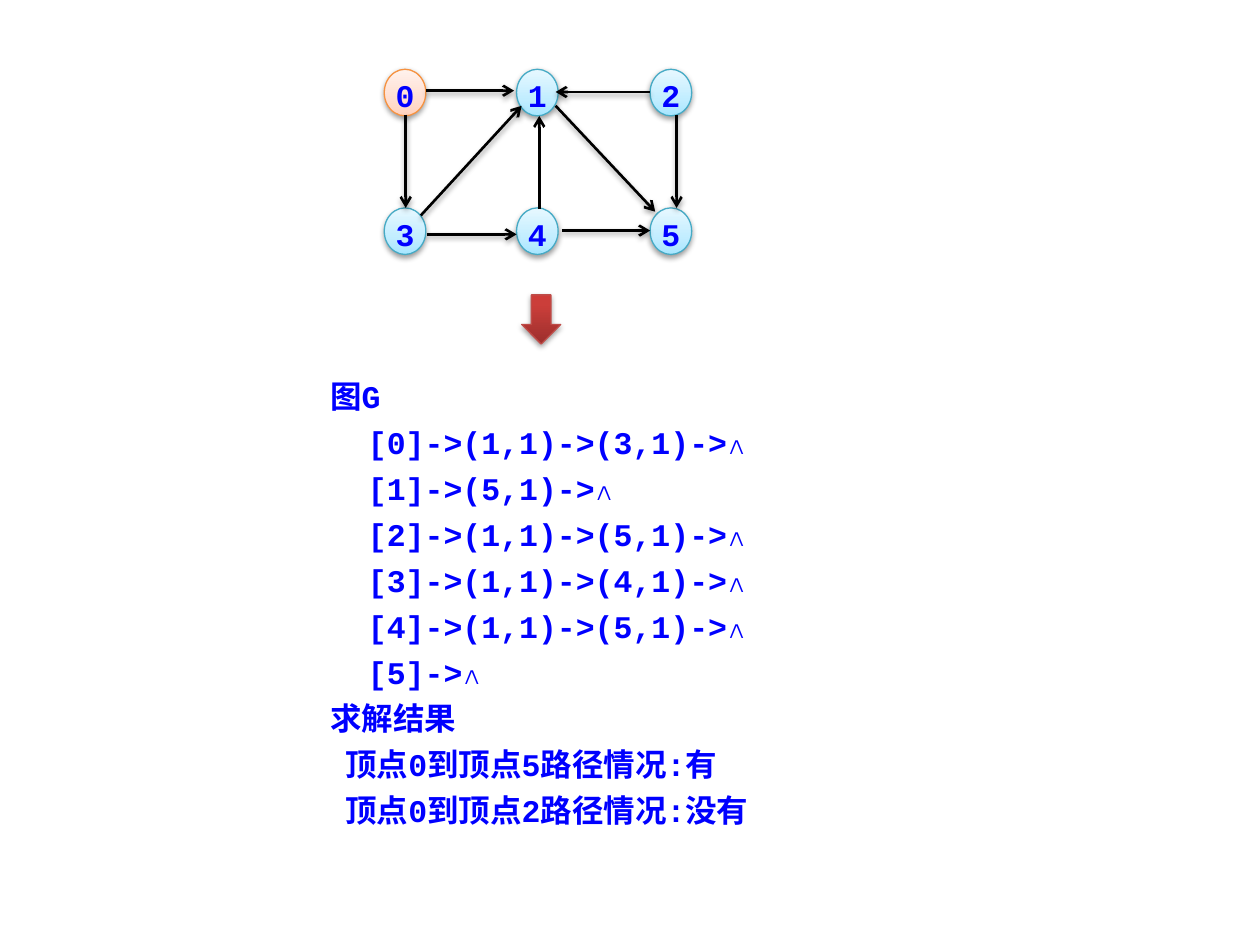
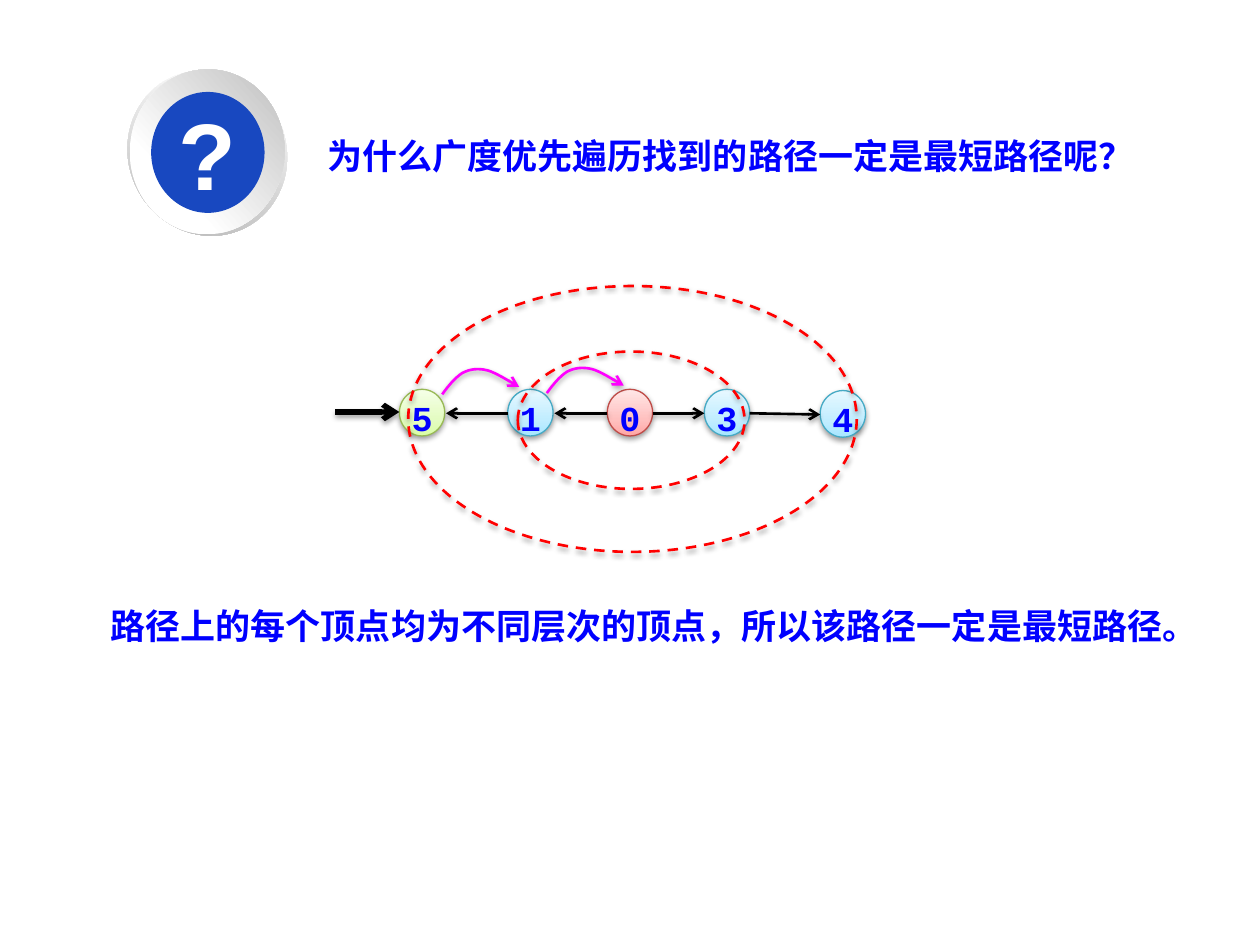
import lxml.etree
import pptx
import pptx.dml.color
import pptx.enum.dml
import pptx.enum.shapes
import pptx.enum.text
import pptx.oxml.ns
import pptx.util

RGBColor = pptx.dml.color.RGBColor
Pt = pptx.util.Pt
MSO_SHAPE = pptx.enum.shapes.MSO_SHAPE
PP_ALIGN = pptx.enum.text.PP_ALIGN
MSO_ANCHOR = pptx.enum.text.MSO_ANCHOR
qn = pptx.oxml.ns.qn

EMU_PER_PX = 9144
MONOSPACE = "Courier New"
SANS = "Arial"

BLACK = RGBColor(0x00, 0x00, 0x00)
WHITE = RGBColor(0xFF, 0xFF, 0xFF)
BLUE = RGBColor(0x00, 0x00, 0xFF)
BADGE_BLUE = RGBColor(0x18, 0x48, 0xC0)
RED = RGBColor(0xFF, 0x00, 0x00)
MAGENTA = RGBColor(0xFF, 0x00, 0xFF)
AQUA_LINE = RGBColor(0x46, 0xAA, 0xC5)
ORANGE_LINE = RGBColor(0xF6, 0x92, 0x40)
BRICK_LINE = RGBColor(0xBF, 0x4C, 0x48)
GREEN_LINE = RGBColor(0x98, 0xB9, 0x55)


def stops(*pairs):
    return [(position, RGBColor.from_string(value)) for position, value in pairs]


AQUA = stops((0, "A7E6FF"), (35, "C1EDFF"), (100, "E7F8FF")), AQUA_LINE
ORANGE = stops((0, "FFD2BD"), (35, "FFDED0"), (100, "FFF2ED")), ORANGE_LINE
PINK = stops((0, "FFA6A5"), (35, "FFC0BF"), (100, "FFE7E7")), BRICK_LINE
GREEN = stops((0, "DAFDA7"), (35, "E4FCC2"), (100, "F5FFE7")), GREEN_LINE
BRICK = stops((0, "9C2F2D"), (80, "CB3E3A"), (100, "CE3B37")), BRICK_LINE
OUTER_RING = stops((17, "FFFFFF"), (88, "B8B8B8"))
INNER_RING = stops((29, "FFFFFF"), (98, "BFBFBF"))


def px(length):
    return round(length * EMU_PER_PX)


def write(frame, text, *, size=20, color=BLUE, font=MONOSPACE, align=PP_ALIGN.LEFT,
          indent=0, line_spacing=None, space_before=0):
    paragraph = frame.add_paragraph() if frame.text else frame.paragraphs[0]
    paragraph.alignment = align
    paragraph.line_spacing = line_spacing
    if space_before:
        paragraph.space_before = Pt(space_before)
    if indent:
        paragraph._p.get_or_add_pPr().set("marL", str(px(indent)))
    run = paragraph.add_run()
    run.text = text
    run.font.name = font
    run.font.size = Pt(size)
    run.font.bold = True
    run.font.color.rgb = color


def set_effects(shape, shadow):
    properties = shape.element.spPr
    effects = properties.find(qn("a:effectLst"))
    if effects is None:
        effects = lxml.etree.SubElement(properties, qn("a:effectLst"))
    if shadow:
        outer = lxml.etree.SubElement(effects, qn("a:outerShdw"), blurRad="40000",
                                      dist="20000", dir="5400000", rotWithShape="0")
        color = lxml.etree.SubElement(outer, qn("a:srgbClr"), val=str(BLACK))
        lxml.etree.SubElement(color, qn("a:alpha"), val="38000")


def fill_gradient(shape, gradient, angle):
    shape.fill.gradient()
    shape.fill.gradient_angle = angle
    stop_list = shape.element.spPr.find(qn("a:gradFill")).find(qn("a:gsLst"))
    stop_list.clear()
    for position, color in gradient:
        stop = lxml.etree.SubElement(stop_list, qn("a:gs"), pos=str(position * 1000))
        lxml.etree.SubElement(stop, qn("a:srgbClr"), val=str(color))


def style_line(shape, color, width, arrow=False):
    shape.line.color.rgb = color
    shape.line.width = Pt(width)
    if arrow:
        lxml.etree.SubElement(shape.line._get_or_add_ln(), qn("a:tailEnd"), type="arrow")


class Deck:
    def __init__(self):
        self.presentation = pptx.Presentation()
        self.presentation.slide_width = px(1000)
        self.presentation.slide_height = px(750)
        self.slide = None

    def new_slide(self):
        self.slide = self.presentation.slides.add_slide(self.presentation.slide_layouts[6])

    def shape(self, kind, box, *, fill=None, line=None, width=0.75, angle=90,
              rotation=0, dashed=False, shadow=False):
        shape = self.slide.shapes.add_shape(kind, *map(px, box))
        shape.rotation = rotation
        if fill is None:
            shape.fill.background()
        elif isinstance(fill, list):
            fill_gradient(shape, fill, angle)
        else:
            shape.fill.solid()
            shape.fill.fore_color.rgb = fill
        if line is None:
            shape.line.fill.background()
        else:
            style_line(shape, line, width)
        if dashed:
            shape.line.dash_style = pptx.enum.dml.MSO_LINE.DASH
        shape.shadow.inherit = False
        set_effects(shape, shadow)
        return shape

    def frame(self, shape, insets=(0, 0, 0, 0), anchor=MSO_ANCHOR.TOP):
        frame = shape.text_frame
        frame.margin_left, frame.margin_top, frame.margin_right, frame.margin_bottom = map(px, insets)
        frame.vertical_anchor = anchor
        frame.word_wrap = True
        return frame

    def node(self, label, box, look, size):
        fill, line = look
        shape = self.shape(MSO_SHAPE.OVAL, box, fill=fill, line=line, shadow=True)
        write(self.frame(shape), label, size=size, align=PP_ALIGN.CENTER)

    def arrow(self, start, end, width=1.5, shadow=True):
        connector = self.slide.shapes.add_connector(
            pptx.enum.shapes.MSO_CONNECTOR.STRAIGHT, *map(px, (*start, *end)))
        style_line(connector, BLACK, width, arrow=True)
        set_effects(connector, shadow)

    def curved_arrow(self, points, color, steps=8):
        track = []
        for first in range(0, len(points) - 1, 3):
            a, b, c, d = points[first:first + 4]
            for step in range(1, steps + 1):
                t = step / steps
                u = 1 - t
                track.append(tuple(
                    px(u**3 * a[i] + 3 * u * u * t * b[i] + 3 * u * t * t * c[i] + t**3 * d[i])
                    for i in (0, 1)))
        builder = self.slide.shapes.build_freeform(*map(px, points[0]))
        builder.add_line_segments(track, close=False)
        shape = builder.convert_to_shape()
        shape.fill.background()
        style_line(shape, color, 1.5, arrow=True)
        shape.shadow.inherit = False
        set_effects(shape, True)

    def text(self, text, box):
        frame = self.frame(self.slide.shapes.add_textbox(*map(px, box)), (10, 5, 10, 5))
        write(frame, text)


def build_graph_slide(deck):
    deck.new_slide()
    panel = deck.shape(MSO_SHAPE.RECTANGLE, (234, 297, 525, 395), fill=WHITE)
    frame = deck.frame(panel, (28, 8, 10, 8))
    listing = [
        ("图G", 0),
        ("[0]->(1,1)->(3,1)->∧", 30),
        ("[1]->(5,1)->∧", 30),
        ("[2]->(1,1)->(5,1)->∧", 30),
        ("[3]->(1,1)->(4,1)->∧", 30),
        ("[4]->(1,1)->(5,1)->∧", 30),
        ("[5]->∧", 30),
        ("求解结果", 0),
        ("顶点0到顶点5路径情况:有", 12),
        ("顶点0到顶点2路径情况:没有", 12),
    ]
    for index, (line, indent) in enumerate(listing):
        write(frame, line, size=18, indent=indent, line_spacing=0.8,
              space_before=9 if index else 0)

    for vertex in range(6):
        row, column = divmod(vertex, 3)
        box = (305 + column * 211 // 2, 55 + row * 110, 33, 37)
        deck.node(str(vertex), box, AQUA if vertex else ORANGE, 18)

    edges = [
        ((338, 72), (408, 72)),
        ((516, 73), (441, 73)),
        ((322, 91), (322, 165)),
        ((339, 186), (410, 186)),
        ((446, 183), (516, 183)),
        ((537, 91), (537, 165)),
        ((334, 171), (414, 84)),
        ((441, 84), (520, 168)),
    ]
    for start, end in edges:
        deck.arrow(start, end)
    deck.arrow((428, 166), (428, 92), shadow=False)

    fill, line = BRICK
    deck.shape(MSO_SHAPE.DOWN_ARROW, (414, 234, 31, 39), fill=fill, line=line, shadow=True)


def build_shortest_path_slide(deck):
    deck.new_slide()
    deck.shape(MSO_SHAPE.OVAL, (98, 59, 133, 125), fill=OUTER_RING, angle=315, rotation=62.3)
    deck.shape(MSO_SHAPE.OVAL, (99, 59, 131, 123), fill=INNER_RING, angle=315, rotation=273)
    badge = deck.shape(MSO_SHAPE.OVAL, (120, 73, 90, 96), fill=BADGE_BLUE)
    write(deck.frame(badge, anchor=MSO_ANCHOR.MIDDLE), "?", size=54, color=WHITE,
          font=SANS, align=PP_ALIGN.CENTER)
    deck.text("为什么广度优先遍历找到的路径一定是最短路径呢？", (250, 102, 683, 44))

    vertices = [("1", 403, 309, AQUA), ("4", 651, 310, AQUA), ("0", 482, 309, PINK),
                ("3", 559, 309, AQUA), ("5", 317, 309, GREEN)]
    for label, left, top, look in vertices:
        deck.node(label, (left, top, 36, 37), look, 20)

    for layer in ((411, 279, 180, 109), (324, 227, 356, 211)):
        deck.shape(MSO_SHAPE.OVAL, layer, line=RED, width=1.5, dashed=True, shadow=True)

    edges = [((518, 328), (559, 328)), ((595, 328), (651, 329)),
             ((403, 328), (354, 328)), ((482, 328), (440, 328))]
    for start, end in edges:
        deck.arrow(start, end)
    deck.arrow((266, 327), (317, 327), width=3)

    back_step = [(351, 313), (356, 306), (361, 300), (367, 296), (373, 293),
                 (379, 292), (387, 294), (394, 296), (403, 302), (412, 307)]
    for shift_x, shift_y in ((0, 0), (83, -1)):
        deck.curved_arrow([(x + shift_x, y + shift_y) for x, y in back_step], MAGENTA)

    deck.text("路径上的每个顶点均为不同层次的顶点，所以该路径一定是最短路径。", (78, 475, 867, 44))


def main():
    deck = Deck()
    build_graph_slide(deck)
    build_shortest_path_slide(deck)
    deck.presentation.save("out.pptx")


if __name__ == "__main__":
    main()
